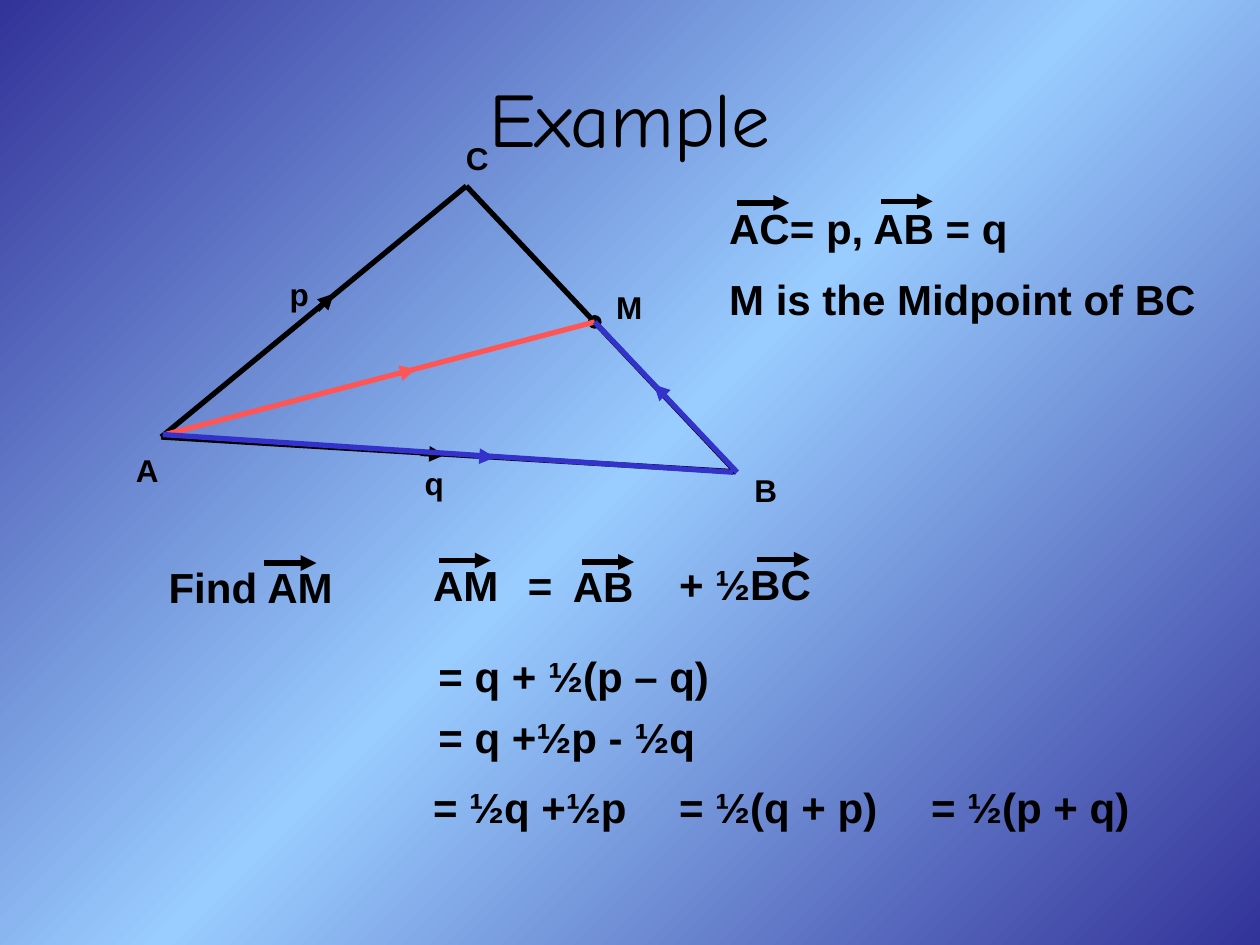
import copy
import lxml.etree
import pptx
import pptx.dml.color
import pptx.enum.shapes
import pptx.enum.text
import pptx.oxml.ns
import pptx.util

Cm = pptx.util.Cm
qn = pptx.oxml.ns.qn

THEME = {
    "black": "000000", "red": "FF5555", "blue": "3333CC",
    "background": [(0, "333399"), (50, "99CCFF"), (100, "333399")],
    "title_font": "Comic Neue", "body_font": "Arial",
    "title": 44, "working": 24, "label": 18, "line": 3,
}

# Content; all lengths in centimetres
TITLE = ("Example", 1.27, 0.76, 22.86)
LABELS = [  # text, left, top, width
    ("A", 2.49, 8.97, 0.97), ("B", 14.96, 9.37, 0.97), ("C", 9.14, 2.67, 0.97),
    ("p", 5.59, 5.41, 0.89), ("q", 8.31, 9.22, 0.89), ("M", 12.17, 5.69, 1.04),
]
WORKING = [  # text, left, top, width
    ("AC= p, AB = q", 14.45, 3.96, 6.15),
    ("M is the Midpoint of BC", 14.45, 5.38, 9.91),
    ("Find AM", 3.15, 11.2, 3.84),
    ("AM", 8.48, 11.15, 1.83),
    ("=", 10.39, 11.15, 0.99),
    ("AB", 11.3, 11.18, 1.73),
    ("+ ½BC", 13.44, 11.13, 3.4),
    ("= q + ½(p – q)", 8.59, 12.98, 5.97),
    ("= q +½p - ½q", 8.59, 14.22, 5.69),
    ("= ½q +½p", 8.48, 15.62, 4.65),
    ("= ½(q + p)", 13.44, 15.62, 4.72),
    ("= ½(p + q)", 18.52, 15.62, 4.72),
]
A, B, C, M = (3.25, 8.81), (14.83, 9.51), (9.4, 3.75), (11.99, 6.49)
TRIANGLE = [(A, C), (A, B), (C, B)]
TRIANGLE_ARROWS = [((6.4, 6.25), (6.73, 5.92)), ((8.48, 9.14), (8.97, 9.17))]
MIDPOINT_SIZE = 0.25
ROUTES = [  # colour, start, end, arrow start, arrow end
    ("red", (3.33, 8.76), M, (8.08, 7.52), (8.38, 7.44)),
    ("blue", (14.86, 9.52), M, (13.28, 7.85), (13.18, 7.75)),
    ("blue", (3.28, 8.76), (14.78, 9.52), (9.58, 9.19), (9.98, 9.22)),
]
VECTOR_MARKS = [(14.86, 4.09), (17.75, 4.06), (5.33, 11.35),
                (8.84, 11.3), (11.73, 11.33), (15.27, 11.28)]
VECTOR_LENGTH = 1.05


def color(name):
    return pptx.dml.color.RGBColor.from_string(THEME[name])


def paint_background(slide):
    fill = slide.background.fill
    fill.gradient()
    fill.gradient_angle = 315
    stops = slide.element.find(".//" + qn("a:gsLst"))
    stops.append(copy.deepcopy(stops[0]))
    for stop, (position, value) in zip(fill.gradient_stops, THEME["background"]):
        stop.position = position / 100
        stop.color.rgb = pptx.dml.color.RGBColor.from_string(value)


def add_text(slide, text, left, top, width, *, height, size, font="body_font",
             bold=True, centered=False):
    shape = slide.shapes.add_textbox(Cm(left), Cm(top), Cm(width), Cm(height))
    frame = shape.text_frame
    frame.word_wrap = centered
    paragraph = frame.paragraphs[0]
    paragraph.text = text
    if centered:
        frame.vertical_anchor = pptx.enum.text.MSO_ANCHOR.MIDDLE
        paragraph.alignment = pptx.enum.text.PP_ALIGN.CENTER
    paragraph.font.name = THEME[font]
    paragraph.font.size = pptx.util.Pt(THEME[size])
    paragraph.font.bold = bold
    paragraph.font.color.rgb = color("black")


def add_line(slide, start, end, line_color="black", arrow=False):
    connector = slide.shapes.add_connector(
        pptx.enum.shapes.MSO_CONNECTOR.STRAIGHT, *map(Cm, start + end))
    connector.line.color.rgb = color(line_color)
    connector.line.width = pptx.util.Pt(THEME["line"])
    properties = connector.element.spPr
    if arrow:
        lxml.etree.SubElement(properties.find(qn("a:ln")), qn("a:tailEnd"),
                              type="triangle")
    lxml.etree.SubElement(properties, qn("a:effectLst"))


def add_midpoint(slide):
    left, top = (value - MIDPOINT_SIZE / 2 for value in M)
    shape = slide.shapes.add_shape(
        pptx.enum.shapes.MSO_SHAPE.OVAL, Cm(left), Cm(top),
        Cm(MIDPOINT_SIZE), Cm(MIDPOINT_SIZE))
    shape.shadow.inherit = False
    shape.fill.solid()
    shape.fill.fore_color.rgb = color("black")
    shape.line.color.rgb = color("black")
    shape.line.width = pptx.util.Pt(0.75)


def main():
    presentation = pptx.Presentation()
    presentation.slide_width, presentation.slide_height = Cm(25.4), Cm(19.05)
    slide = presentation.slides.add_slide(presentation.slide_layouts[6])
    paint_background(slide)

    # Title
    add_text(slide, *TITLE, height=3.18, size="title", font="title_font",
             bold=False, centered=True)

    # Triangle with its labels
    for start, end in TRIANGLE:
        add_line(slide, start, end)
    for start, end in TRIANGLE_ARROWS:
        add_line(slide, start, end, arrow=True)
    add_midpoint(slide)
    for label in LABELS:
        add_text(slide, *label, height=1.02, size="label")

    # Given facts and working, with arrows over the vectors
    for entry in WORKING:
        add_text(slide, *entry, height=1.27, size="working")
    for left, top in VECTOR_MARKS:
        add_line(slide, (left, top), (left + VECTOR_LENGTH, top), arrow=True)

    # Coloured routes: the vector AM and the path through B
    for line_color, start, end, arrow_start, arrow_end in ROUTES:
        add_line(slide, start, end, line_color)
        add_line(slide, arrow_start, arrow_end, line_color, arrow=True)

    presentation.save("out.pptx")


if __name__ == "__main__":
    main()
